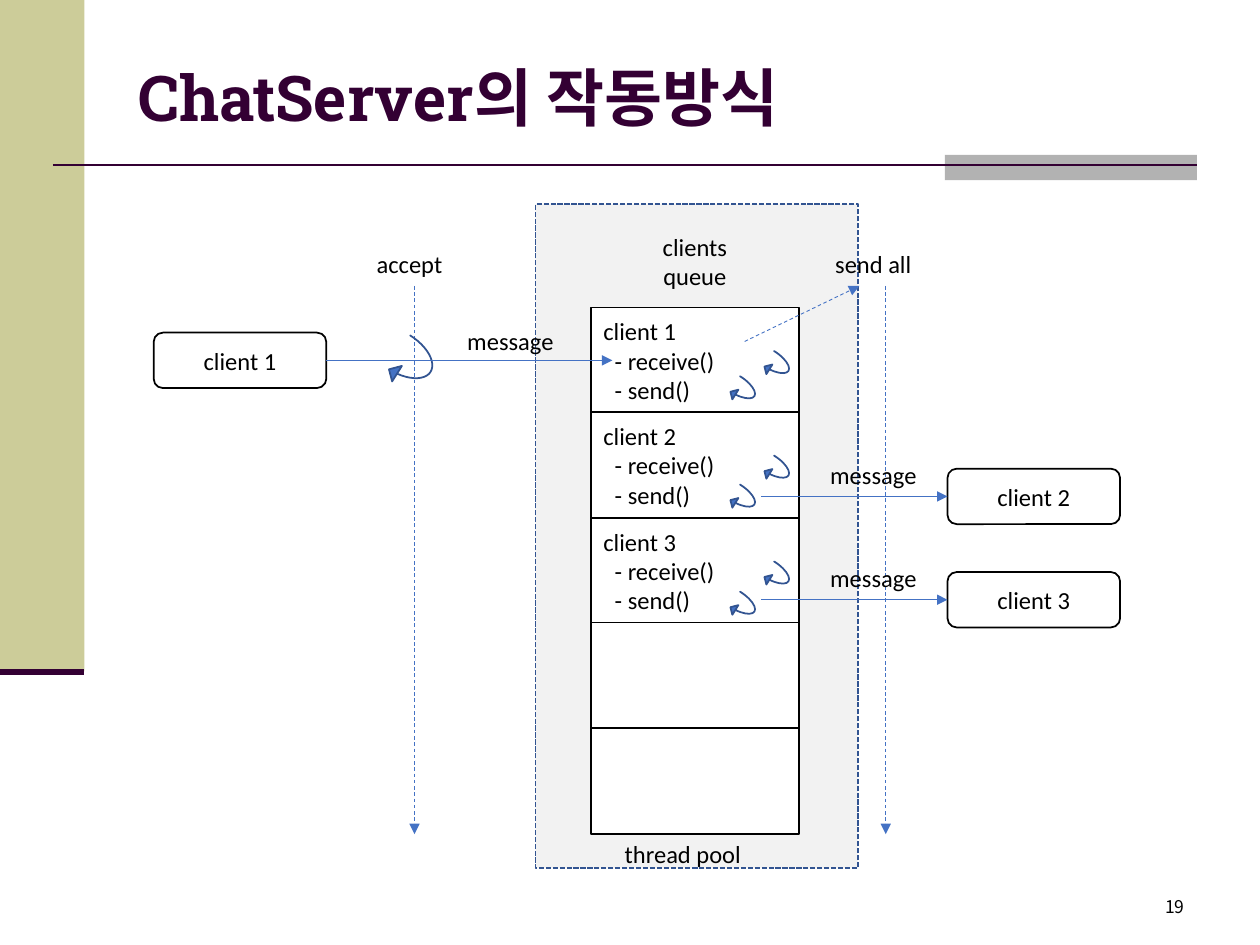
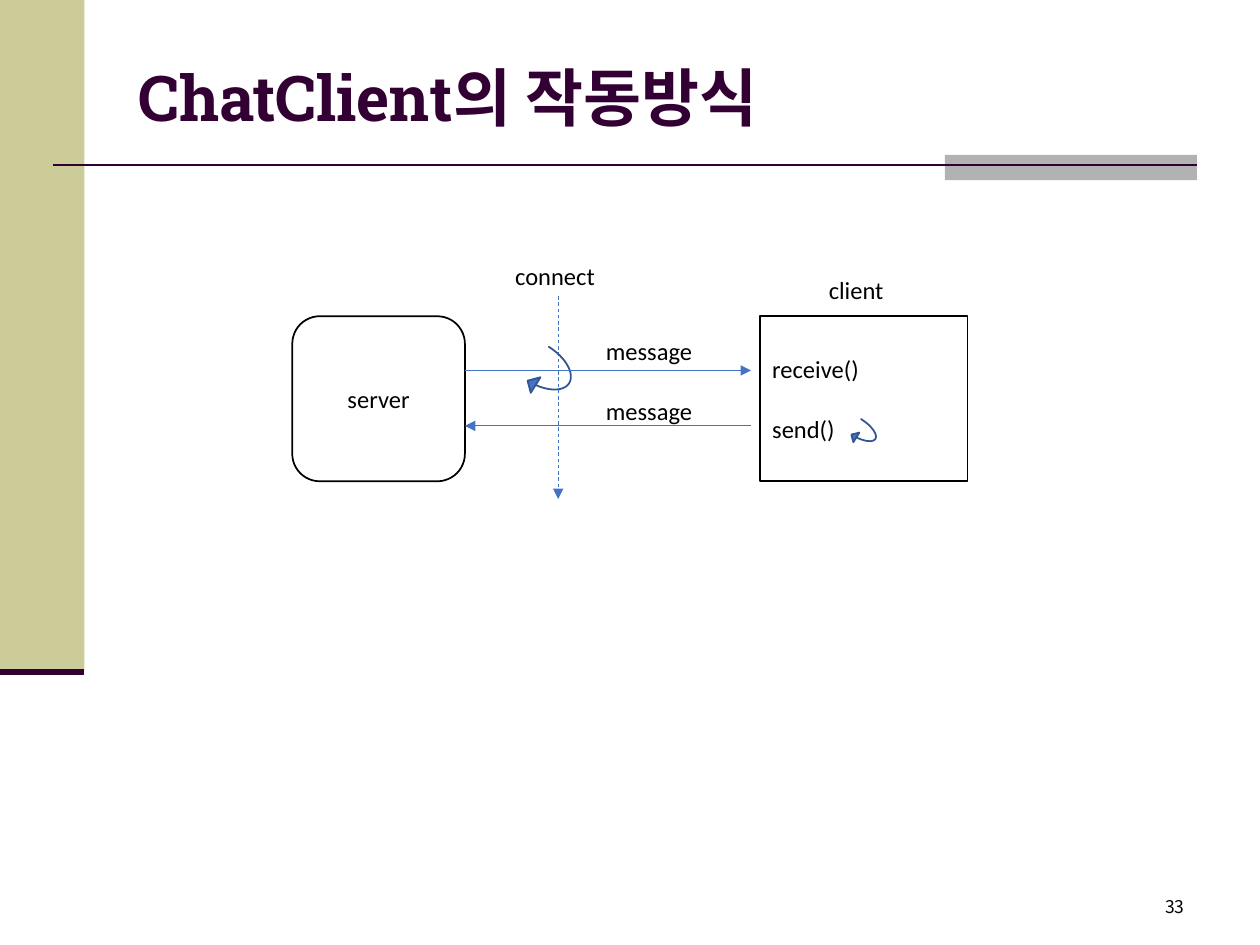
from lxml import etree
from pptx import Presentation
from pptx import util as u
from pptx.dml.color import RGBColor
from pptx.enum import dml, shapes, text
from pptx.oxml.ns import qn

PX = 9144  # 100 px to the inch

PLUM = RGBColor(0x33, 0x00, 0x33)
OLIVE = RGBColor(0xCC, 0xCC, 0x99)
SILVER = RGBColor(0xB2, 0xB2, 0xB2)
PALE = RGBColor(0xF2, 0xF2, 0xF2)
BLUE = RGBColor(0x44, 0x72, 0xC4)
NAVY = RGBColor(0x32, 0x54, 0x91)
BLACK = RGBColor(0, 0, 0)
WHITE = RGBColor(0xFF, 0xFF, 0xFF)

BODY, TITLE, KOREAN = "Calibri", "Roboto Slab", "Noto Sans CJK KR"
SHAPE, ALIGN, DASH = shapes.MSO_SHAPE, text.PP_ALIGN, dml.MSO_LINE
CLIENT_W, CLIENT_H = 137, 44
CELL_W, CELL_H = 165, 84
LABEL_H = 34


class Region:
    """Part of a slide; every position is relative to its left top corner."""

    def __init__(self, s, left=0, top=0):
        self.shapes, self.left, self.top = s.shapes, left, top

    def at(self, x, y):
        return (self.left + x) * PX, (self.top + y) * PX

    def box(self, x, y, w, h, kind=SHAPE.RECTANGLE, fill=WHITE, line=BLACK):
        sp = self.shapes.add_shape(kind, *self.at(x, y), w * PX, h * PX)
        sp.shadow.inherit = False
        sp.fill.solid()
        sp.fill.fore_color.rgb = fill
        if line is None:
            sp.line.fill.background()
        else:
            sp.line.color.rgb = line
            sp.line.width = u.Pt(1)
        return sp

    def node(self, x, y, name, h=CLIENT_H):
        sp = self.box(x, y, CLIENT_W, h, SHAPE.ROUNDED_RECTANGLE)
        write(sp.text_frame, name, align=ALIGN.CENTER)

    def text_box(self, x, y, w, h):
        tf = self.shapes.add_textbox(*self.at(x, y), w * PX, h * PX).text_frame
        tf.word_wrap = True
        return tf

    def label(self, x, y, w, words, h=LABEL_H, align=ALIGN.LEFT):
        tf = self.text_box(x, y, w, h)
        tf.word_wrap = False
        tf.auto_size = text.MSO_AUTO_SIZE.SHAPE_TO_FIT_TEXT
        write(tf, words, align=align)

    def message(self, x, y):
        self.label(x, y, 89, "message")

    def line(self, start, end, color=PLUM, width=1.5):
        c = self.shapes.add_connector(shapes.MSO_CONNECTOR.STRAIGHT,
                                      *self.at(*start), *self.at(*end))
        c.line.color.rgb = color
        c.line.width = u.Pt(width)
        etree.SubElement(c._element.spPr, qn("a:effectLst"))
        return c

    def arrow(self, start, end, dashed=False):
        c = self.line(start, end, BLUE, 0.5)
        if dashed:
            c.line.dash_style = DASH.DASH
        ln = c._element.spPr.find(qn("a:ln"))
        etree.SubElement(ln, qn("a:tailEnd"), type="triangle")

    def loop(self, x, y, w=18, h=19):
        """Curved arrow that stands for a running thread."""
        sp = self.box(x, y, w, h, SHAPE.CURVED_LEFT_ARROW, BLUE, NAVY)
        sp.rotation = 32.2
        for i, value in enumerate((0, 0.5, 0.25)):
            sp.adjustments[i] = value

    def big_loop(self, x, y):
        self.loop(x, y, 29, 39)


def write(tf, words, size=14, font=BODY, color=BLACK, bold=False,
          align=ALIGN.LEFT):
    tf.text = words
    for p in tf.paragraphs:
        p.alignment = align
        for r in p.runs:
            r.font.name, r.font.size, r.font.bold = font, u.Pt(size), bold
            r.font.color.rgb = color
            ea = etree.SubElement(r._r.get_or_add_rPr(), qn("a:ea"))
            ea.set("typeface", KOREAN)


def base_slide(prs, title, number):
    s = prs.slides.add_slide(prs.slide_layouts[6])
    page = Region(s)
    page.box(0, 0, 67, 533, fill=OLIVE, line=None)
    page.box(750, 123, 200, 20, fill=SILVER, line=None)
    page.line((42, 131), (950, 131))
    page.line((0, 533), (67, 533), width=3.5)
    tf = page.text_box(100, 30, 850, 93)
    tf.vertical_anchor = text.MSO_ANCHOR.MIDDLE
    write(tf, title, 36, TITLE, PLUM, True)
    write(page.text_box(742, 706, 208, 28), number, 10, KOREAN,
          align=ALIGN.RIGHT)
    return s


def client_cells(reg, x, y):
    """Queue of five cells, the first three of them taken by clients."""
    tops = [y + i * 167 // 2 for i in range(5)]
    cells = [reg.box(x, top, CELL_W, CELL_H) for top in tops]
    for i, sp in enumerate(cells[:3], 1):
        tf = sp.text_frame
        write(tf, f"client {i}\n- receive()\n- send()")
        for p in tf.paragraphs[1:]:
            p._p.get_or_add_pPr().set("marL", str(9 * PX))
    for top, send_dy in zip(tops, (58, 61, 62)):
        reg.loop(x + 139, top + 38)
        reg.loop(x + 112, top + send_dy)


def server_diagram(s, left, top):
    reg = Region(s, left, top)
    pool = reg.box(303, 0, 256, 527, fill=PALE, line=NAVY)
    pool.line.dash_style = DASH.SQUARE_DOT
    reg.node(0, 102, "client 1")
    for x, label_x, w, words in ((207, 167, 79, "accept"),
                                 (581, 531, 99, "send all")):
        reg.label(label_x, 31, w, words)
        reg.arrow((x, 65), (x, 500), dashed=True)
    reg.big_loop(191, 109)
    reg.label(389, 17, 81, "clients\nqueue", 57, ALIGN.CENTER)
    client_cells(reg, 347, 82)
    for y, name in ((210, "client 2"), (292, "client 3")):
        middle = y + CLIENT_H // 2
        reg.node(630, y, name)
        reg.arrow((482, middle), (630, middle))
        reg.message(527, y - 12)
    reg.arrow((469, 109), (560, 65), dashed=True)
    reg.message(239, 92)
    reg.arrow((CLIENT_W, 124), (364, 124))
    reg.label(364, 499, 128, "thread pool")


def client_diagram(s, left, top):
    reg = Region(s, left, top)
    reg.node(0, 49, "server", 131)
    reg.label(167, 0, 89, "connect")
    reg.arrow((211, 33), (211, 194), dashed=True)
    reg.big_loop(191, 78)
    reg.label(408, 11, 79, "client", align=ALIGN.CENTER)
    tf = reg.box(371, 49, CELL_W, 131).text_frame
    write(tf, "receive()\nsend()")
    tf.paragraphs[1].space_before = u.Pt(17)
    reg.loop(445, 134)
    reg.message(239, 60)
    reg.message(239, 107)
    reg.arrow((CLIENT_W, 92), (364, 92))
    reg.arrow((364, 136), (CLIENT_W, 136))


def main():
    prs = Presentation()
    prs.slide_width, prs.slide_height = 1000 * PX, 750 * PX
    server_diagram(base_slide(prs, "ChatServer의 작동방식", "19"), 122, 162)
    client_diagram(base_slide(prs, "ChatClient의 작동방식", "33"), 232, 202)
    prs.save("out.pptx")


if __name__ == "__main__":
    main()
